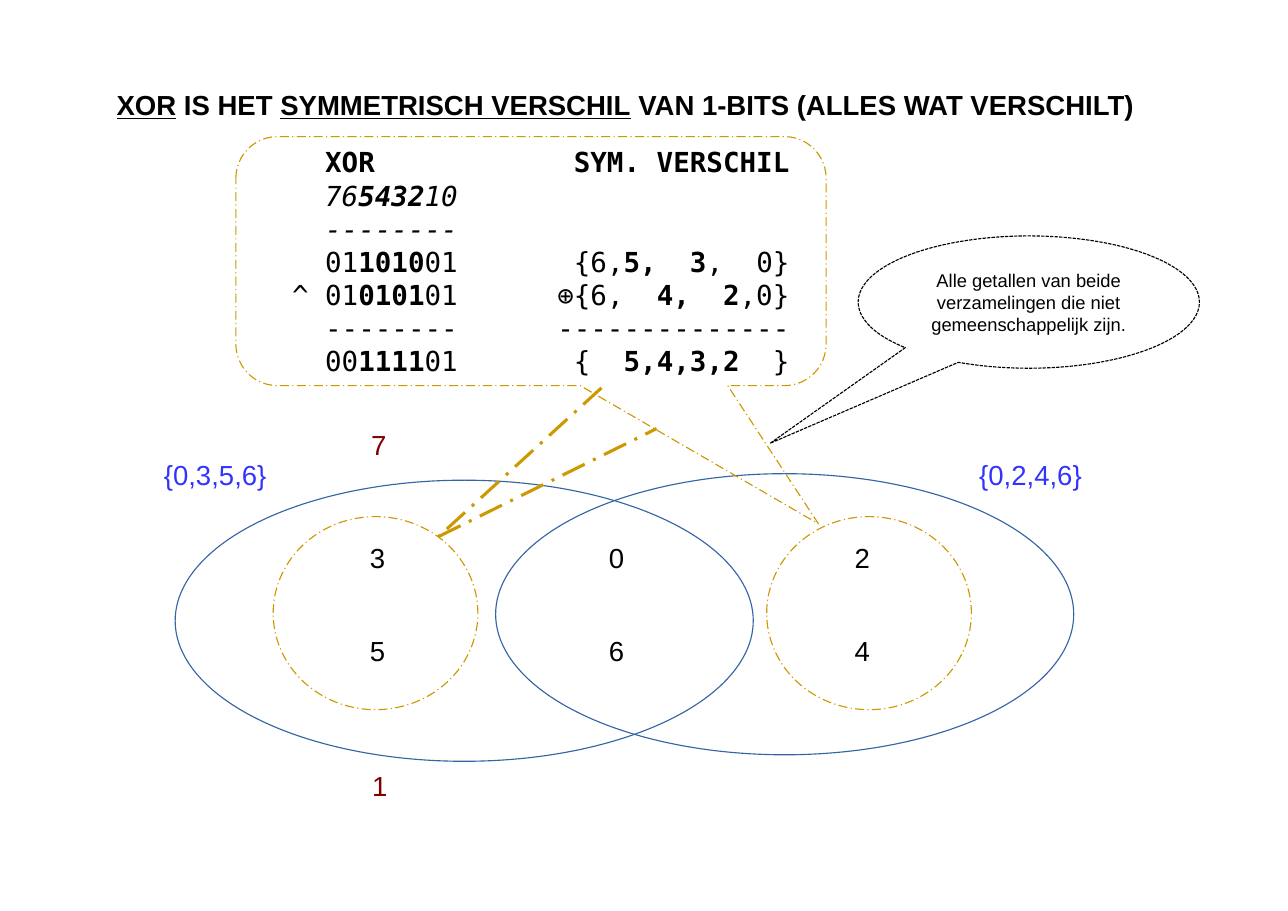
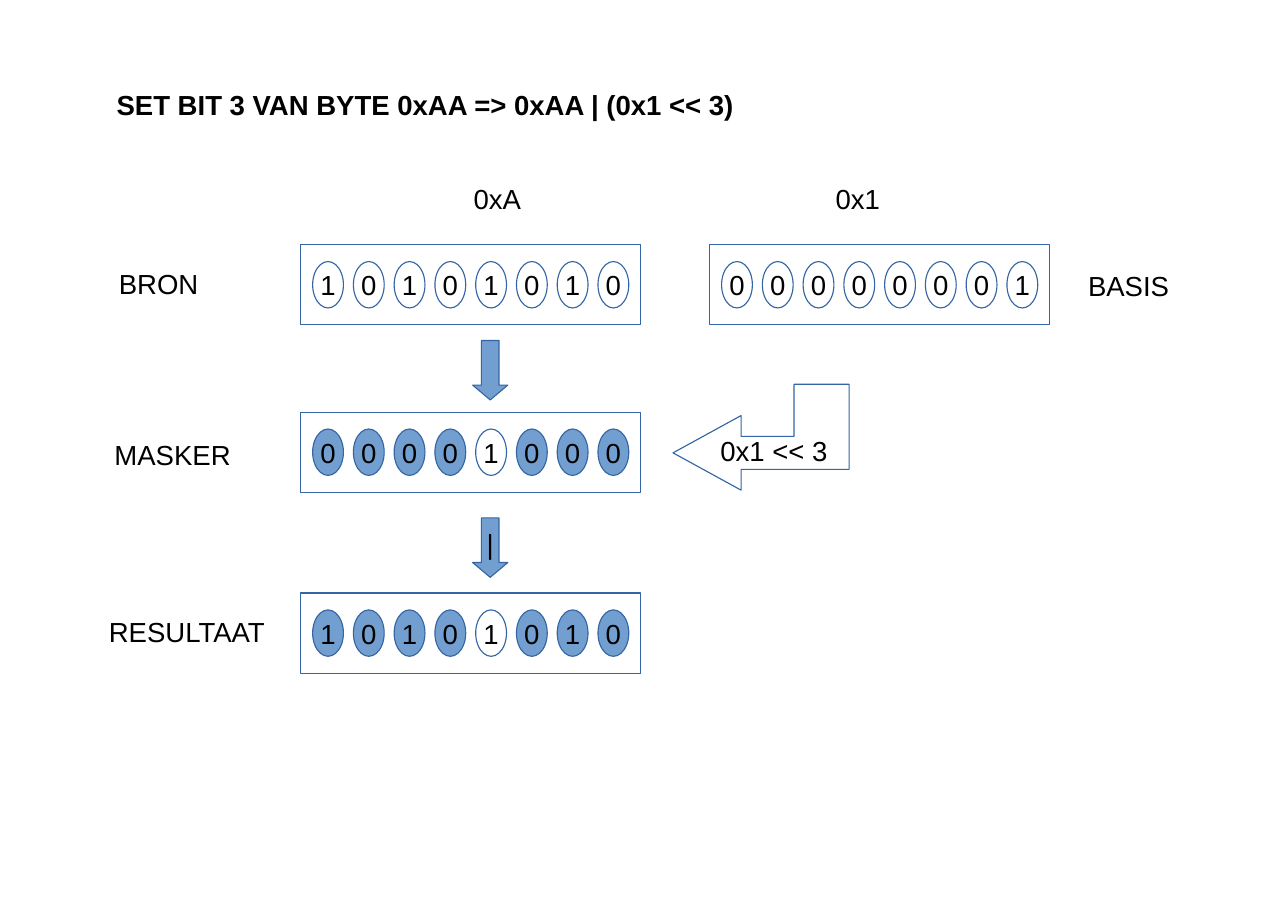
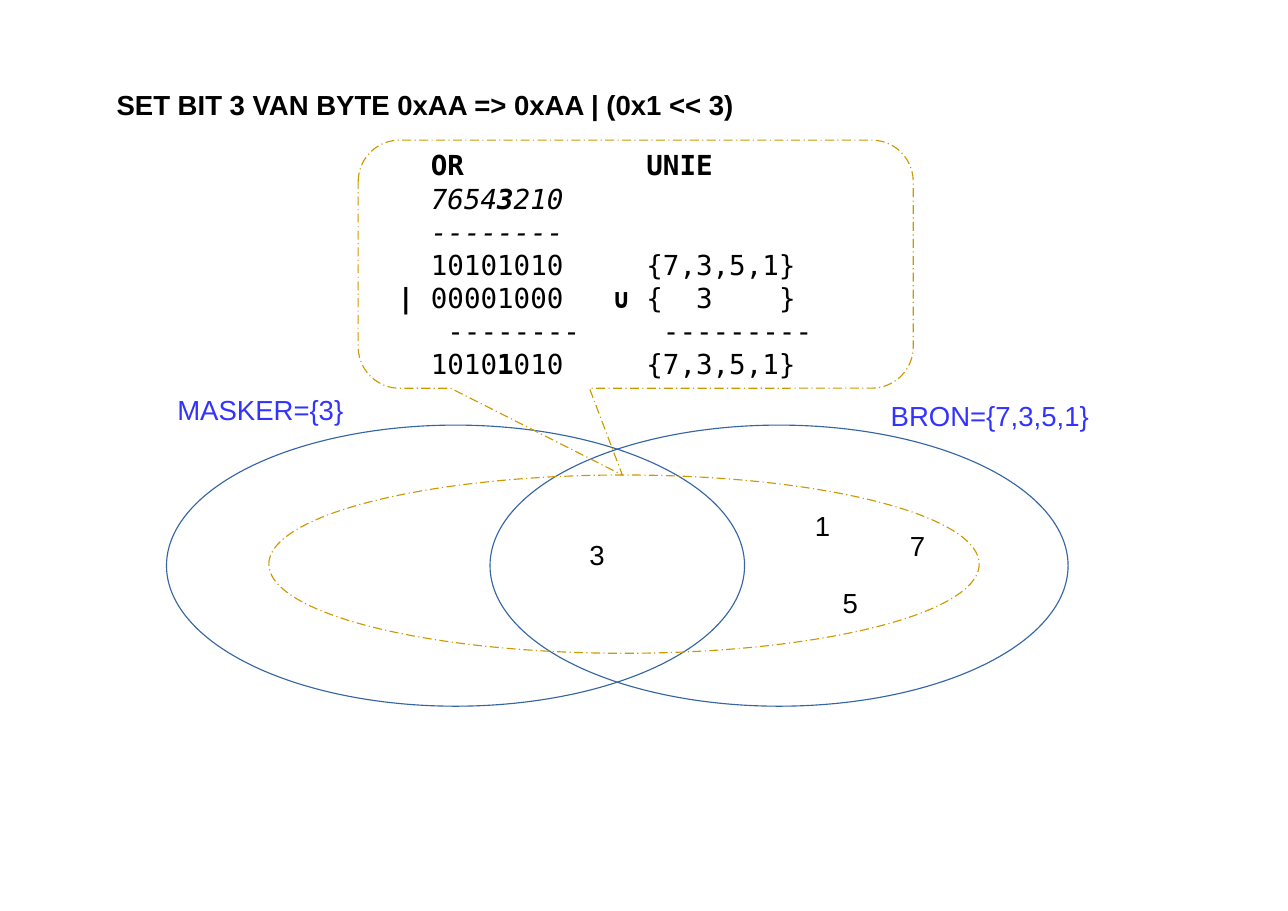
from pptx import Presentation
from pptx.dml.color import RGBColor
from pptx.enum import dml, shapes, text
from pptx.oxml.ns import qn
from pptx.util import Cm, Pt
from lxml import etree

BLACK = RGBColor(0x00, 0x00, 0x00)
BLUE_LINE = RGBColor(0x34, 0x65, 0xA4)
BLUE_FILL = RGBColor(0x72, 0x9F, 0xCF)
BLUE_TEXT = RGBColor(0x33, 0x33, 0xFF)
GOLD = RGBColor(0xCC, 0x99, 0x00)
MAROON = RGBColor(0x80, 0x00, 0x00)
SANS, MONO = "Arial", "DejaVu Sans Mono"
GOLD_DASH = dml.MSO_LINE.LONG_DASH_DOT
SHAPE = shapes.MSO_SHAPE
LEFT, CENTER = text.PP_ALIGN.LEFT, text.PP_ALIGN.CENTER

# Content; in text, * toggles bold, / italic and _ underline. Lengths are cm.
XOR_TITLE = "*_XOR_ IS HET _SYMMETRISCH VERSCHIL_ VAN 1-BITS (ALLES WAT VERSCHILT)*"
SET_TITLE = "*SET BIT 3 VAN BYTE 0xAA => 0xAA | (0x1 << 3)*"

XOR_CODE = [
    "    *XOR            SYM. VERSCHIL*",
    "    /76*5432*10/",
    "    /--------/",
    "    01*1010*01       {6,*5,  3*,  0}",
    "  ^ 01*0101*01      ⊕{6,  *4,  2*,0}",
    "    --------      --------------",
    "    00*1111*01       {  *5,4,3,2*  }",
]
OR_CODE = [
    "   *OR           UNIE*",
    "   /7654*3*210/",
    "   /--------/",
    "   10101010     {7,3,5,1}",
    " *| *00001000   *∪ *{  3    }",
    "    --------     ---------",
    "   1010*1*010     {7,3,5,1}",
]
REMARK = ["Alle getallen van beide", "verzamelingen die niet",
          "gemeenschappelijk zijn."]

XOR_COLUMNS = [(8.28, "35"), (13.79, "06"), (19.46, "24")]
XOR_ROWS = [12.34, 14.5]
XOR_OUTSIDE = [("7", 8.31, 9.75), ("1", 8.33, 17.6)]
XOR_SETS = [("{0,3,5,6}", 3.53, 10.44, 5.08), ("{0,2,4,6}", 22.33, 10.44, 5.08)]
OR_NUMBERS = [("3", 13.34, 12.27), ("1", 18.54, 11.61),
              ("7", 20.73, 12.07), ("5", 19.18, 13.39)]
OR_SETS = [("MASKER={3}", 3.84, 8.94, 6.55), ("BRON={7,3,5,1}", 20.29, 9.07, 5.11)]

# Bytes: bits, left, top, index of the bit left white (None: all white)
BYTES = [("10101010", 6.93, 5.64, None), ("00000001", 16.36, 5.64, None),
         ("00001000", 6.93, 9.5, 4), ("10101010", 6.93, 13.67, 4)]
BYTE_LABELS = [("BRON", 2.49, 6.02, 2.49), ("MASKER", 2.39, 9.98, 3.4),
               ("RESULTAAT", 2.26, 14.05, 4.5), ("BASIS", 24.84, 6.07, 2.97),
               ("0xA", 10.67, 4.06, 1.75), ("0x1", 19.02, 4.06, 2.03)]
STEP_ARROWS = [("", 7.85), ("|", 11.94)]
SHIFT_ARROW = [(17.09, 9.58), (17.09, 10.06), (18.31, 10.06), (18.31, 8.86),
               (19.58, 8.86), (19.58, 10.82), (17.09, 10.82), (17.09, 11.3),
               (15.52, 10.44)]
BIT_INSET_X, BIT_INSET_Y, BIT_PITCH = 0.28, 0.39, 0.94


def write(frame, lines, color=BLACK, font=SANS, size=18, align=LEFT):
    for number, line in enumerate(lines):
        paragraph = frame.paragraphs[0] if number == 0 else frame.add_paragraph()
        paragraph.alignment = align
        style = {"*": False, "/": False, "_": False}
        pending = ""
        for char in line + "\n":
            if char not in style and char != "\n":
                pending += char
                continue
            if pending:
                run = paragraph.add_run()
                run.text = pending
                run.font.name, run.font.size = font, Pt(size)
                run.font.color.rgb = color
                run.font.bold, run.font.italic = style["*"], style["/"]
                run.font.underline = style["_"]
                pending = ""
            if char in style:
                style[char] = not style[char]


def outline(part, color, dash=None):
    part.line.color.rgb = color
    part.line.width = 0
    if dash:
        part.line.dash_style = dash


def dress(part, color, dash=None, fill=None):
    part.shadow.inherit = False
    if fill is None:
        part.fill.background()
    else:
        part.fill.solid()
        part.fill.fore_color.rgb = fill
    outline(part, color, dash)


def figure(slide, kind, box, color=BLUE_LINE, dash=None, fill=None, adjust=(),
           lines=(), wrap=False, **style):
    part = slide.shapes.add_shape(kind, *map(Cm, box))
    dress(part, color, dash, fill)
    for index, value in enumerate(adjust):
        part.adjustments[index] = value
    if lines:
        part.text_frame.word_wrap = wrap
        part.text_frame.vertical_anchor = text.MSO_ANCHOR.MIDDLE
        write(part.text_frame, lines, **style)


def label(slide, words, left, top, width=1.52, height=1.5, color=BLACK):
    frame = slide.shapes.add_textbox(*map(Cm, (left, top, width, height))).text_frame
    frame.word_wrap = True
    write(frame, [words], color)


def new_slide(prs, title):
    slide = prs.slides.add_slide(prs.slide_layouts[6])
    label(slide, title, 2.44, 1.9, 25.6, 1.68)
    return slide


def set_pair(slide, boxes, names):
    for left, top in boxes:
        figure(slide, SHAPE.OVAL, (left, top, 13.33, 6.48))
    for words, left, top, width in names:
        label(slide, words, left, top, width, color=BLUE_TEXT)


def code_callout(slide, box, adjust, lines):
    figure(slide, SHAPE.ROUNDED_RECTANGULAR_CALLOUT, box, GOLD, GOLD_DASH,
           adjust=adjust, lines=lines, wrap=True, font=MONO)


def gold_line(slide, start, end):
    line = slide.shapes.add_connector(shapes.MSO_CONNECTOR.STRAIGHT,
                                      *map(Cm, start + end))
    outline(line, GOLD, GOLD_DASH)
    etree.SubElement(line._element.spPr, qn("a:effectLst"))


def xor_slide(prs):
    slide = new_slide(prs, XOR_TITLE)
    set_pair(slide, [(4.04, 11.07), (11.43, 10.92)], XOR_SETS)
    for left, digits in XOR_COLUMNS:
        for digit, top in zip(digits, XOR_ROWS):
            label(slide, digit, left, top)
    for digit, left, top in XOR_OUTSIDE:
        label(slide, digit, left, top, color=MAROON)
    # Differences and their pointers
    for left in (6.3, 17.68):
        figure(slide, SHAPE.OVAL, (left, 11.91, 4.72, 4.45), GOLD, GOLD_DASH)
    code_callout(slide, (5.44, 3.15, 13.61, 5.74), (0.487, 1.055, 0.167), XOR_CODE)
    tip = (10.11, 12.37)
    gold_line(slide, (13.87, 8.94), tip)
    gold_line(slide, tip, (15.14, 9.88))
    figure(slide, SHAPE.OVAL_CALLOUT, (19.79, 5.44, 7.87, 3.05), BLACK,
           dml.MSO_LINE.SQUARE_DOT, adjust=(-0.758, 1.067), lines=REMARK,
           size=12, align=CENTER)


def byte_slide(prs):
    slide = new_slide(prs, SET_TITLE)
    for bits, left, top, white in BYTES:
        figure(slide, SHAPE.RECTANGLE, (left, top, 7.85, 1.85))
        for index, bit in enumerate(bits):
            fill = None if white in (None, index) else BLUE_FILL
            box = (left + BIT_INSET_X + index * BIT_PITCH, top + BIT_INSET_Y, 0.71, 1.07)
            figure(slide, SHAPE.OVAL, box, fill=fill, lines=[bit], align=CENTER)
    for words, left, top, width in BYTE_LABELS:
        label(slide, words, left, top, width)
    # Steps between the bytes
    for operator, top in STEP_ARROWS:
        figure(slide, SHAPE.DOWN_ARROW, (10.9, top, 0.81, 1.37), fill=BLUE_FILL,
               adjust=(0.5, 0.421), lines=[operator] if operator else (), align=CENTER)
    corners = [(Cm(x), Cm(y)) for x, y in SHIFT_ARROW]
    builder = slide.shapes.build_freeform(*corners[0])
    builder.add_line_segments(corners[1:], close=True)
    dress(builder.convert_to_shape(), BLUE_LINE)
    label(slide, "0x1 << 3", 16.36, 9.88, 3.5, 1.14)


def union_slide(prs):
    slide = new_slide(prs, SET_TITLE)
    set_pair(slide, [(3.84, 9.8), (11.3, 9.8)], OR_SETS)
    for digit, left, top in OR_NUMBERS:
        label(slide, digit, left, top)
    figure(slide, SHAPE.OVAL, (6.2, 10.95, 16.38, 4.11), GOLD, GOLD_DASH)
    code_callout(slide, (8.26, 3.23, 12.8, 5.72), (-0.024, 0.85, 0.167), OR_CODE)


def main():
    prs = Presentation()
    prs.slide_width, prs.slide_height = Cm(29.7), Cm(21)
    xor_slide(prs)
    byte_slide(prs)
    union_slide(prs)
    prs.save("out.pptx")


if __name__ == "__main__":
    main()
